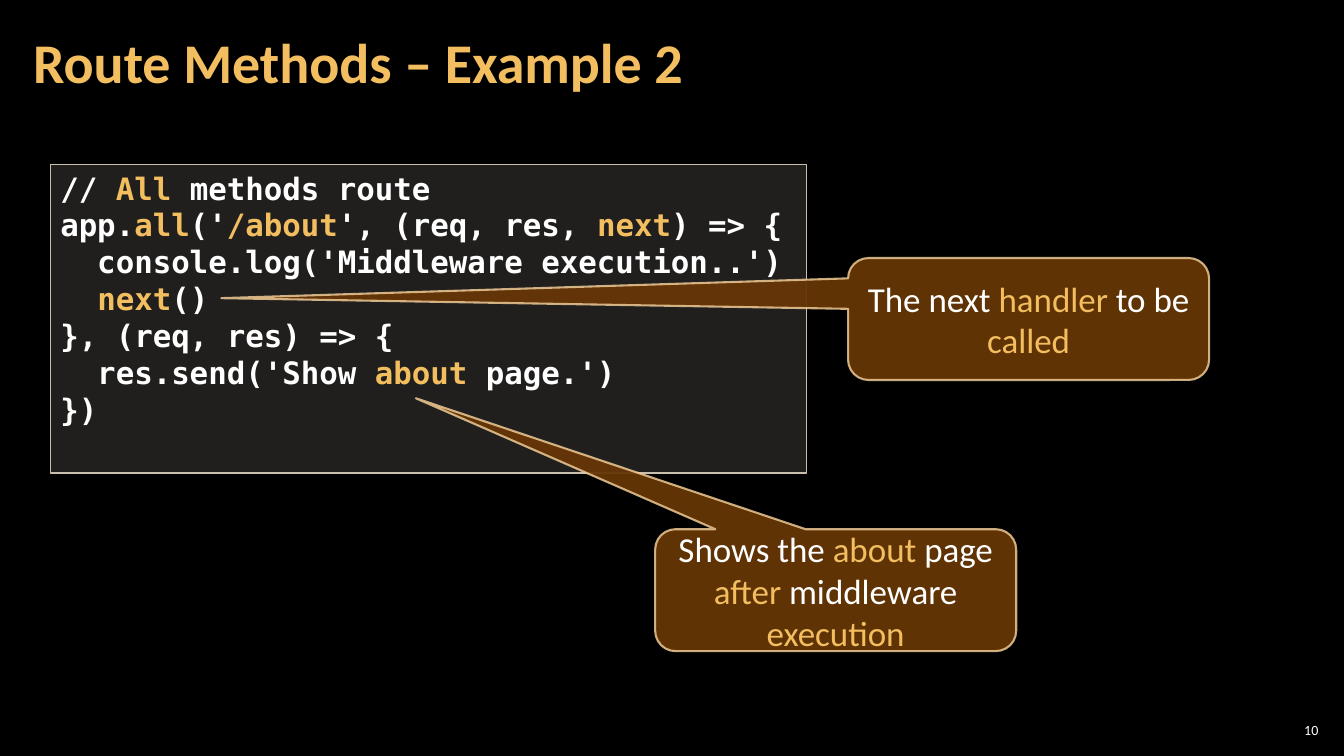
from dataclasses import dataclass, field

from lxml import etree
from pptx import Presentation
from pptx.dml.color import RGBColor
from pptx.enum.shapes import MSO_SHAPE
from pptx.enum.text import MSO_ANCHOR, PP_ALIGN
from pptx.oxml.ns import qn
from pptx.util import Pt

RECT = MSO_SHAPE.RECTANGLE
CALLOUT = MSO_SHAPE.ROUNDED_RECTANGULAR_CALLOUT
TOP, MIDDLE = MSO_ANCHOR.TOP, MSO_ANCHOR.MIDDLE
LEFT, CENTER, RIGHT = PP_ALIGN.LEFT, PP_ALIGN.CENTER, PP_ALIGN.RIGHT
BLACK, WHITE, ACCENT = "000000", "FFFFFF", "F3BE60"

# Text between asterisks takes the accent colour
CODE = [
    "// *All* methods route",
    "app.*all*('*/about*', (req, res, *next*) => {",
    "  console.log('Middleware execution..')",
    "  *next*()",
    "}, (req, res) => {",
    "  res.send('Show *about* page.')",
    "})",
]


@dataclass
class TextStyle:
    font: dict
    anchor: MSO_ANCHOR = MIDDLE
    para: dict = field(default_factory=dict)
    inset: tuple[float, float] = (7.2, 3.6)


@dataclass
class Panel:
    kind: MSO_SHAPE
    box: tuple[float, float, float, float]
    lines: list[str]
    style: TextStyle
    fill: tuple[str, int]
    line: tuple[str, int, float]
    adjustments: tuple[float, ...] = ()


TITLE = TextStyle({"name": "Calibri", "size": Pt(40), "bold": True},
                  para={"alignment": LEFT, "line_spacing": 0.9}, inset=(8.64, 3.6))
NUMBER = TextStyle({"name": "Calibri", "size": Pt(10)},
                   para={"alignment": RIGHT}, inset=(2.88, 2.88))
LISTING = TextStyle({"name": "DejaVu Sans Mono", "size": Pt(22), "bold": True},
                    TOP, {"alignment": LEFT, "line_spacing": Pt(26.4)})
NOTE = TextStyle({"name": "Calibri", "size": Pt(25)}, para={"alignment": CENTER})

NOTE_FILL, NOTE_LINE = ("663606", 95), ("F8D49E", 80, 1.5)
PANELS = [
    Panel(RECT, (36, 117.36, 540, 220.6), CODE, LISTING,
          ("D9D5C7", 15), ("C7BFAC", 100, 1)),
    Panel(CALLOUT, (468, 378, 257.9, 87.1),
          ["Shows the *about* page *after* middleware *execution*"],
          NOTE, NOTE_FILL, NOTE_LINE, (-1.163, -1.574, 0.167)),
    Panel(CALLOUT, (605.8, 184.3, 257.9, 87.1),
          ["The next *handler* to be *called*"],
          NOTE, NOTE_FILL, NOTE_LINE, (-2.236, -0.171, 0.167)),
]


def set_color(fill, color: str, alpha: int = 100) -> None:
    fill.solid()
    fill.fore_color.rgb = RGBColor.from_string(color)
    if alpha < 100:
        clr = fill._xPr.find(qn("a:solidFill"))[0]
        etree.SubElement(clr, qn("a:alpha")).set("val", str(alpha * 1000))


def write(tf, lines: list[str], style: TextStyle) -> None:
    across, down = map(Pt, style.inset)
    frame = {"word_wrap": True, "vertical_anchor": style.anchor,
             "margin_left": across, "margin_right": across,
             "margin_top": down, "margin_bottom": down}
    for name, value in frame.items():
        setattr(tf, name, value)
    for i, line in enumerate(lines):
        p = tf.add_paragraph() if i else tf.paragraphs[0]
        for name, value in style.para.items():
            setattr(p, name, value)
        for j, part in enumerate(line.split("*")):
            if not part:
                continue
            r = p.add_run()
            r.text = part
            for name, value in style.font.items():
                setattr(r.font, name, value)
            set_color(r.font.fill, ACCENT if j % 2 else WHITE)


def add_text(s, box: tuple, text: str, style: TextStyle) -> None:
    sp = s.shapes.add_textbox(*map(Pt, box))
    write(sp.text_frame, [text], style)


def add_panel(s, panel: Panel) -> None:
    sp = s.shapes.add_shape(panel.kind, *map(Pt, panel.box))
    sp.shadow.inherit = False
    for i, value in enumerate(panel.adjustments):
        sp.adjustments[i] = value
    set_color(sp.fill, *panel.fill)
    color, alpha, width = panel.line
    sp.line.width = Pt(width)
    set_color(sp.line.fill, color, alpha)
    write(sp.text_frame, panel.lines, panel.style)


def main() -> None:
    prs = Presentation()
    prs.slide_width, prs.slide_height = Pt(960), Pt(540)
    s = prs.slides.add_slide(prs.slide_layouts[6])
    set_color(s.background.fill, BLACK)

    # Slide number and title
    add_text(s, (910.8, 514.1, 33.8, 15.1), "10", NUMBER)
    add_text(s, (15.1, 2.9, 753.8, 87.1), "*Route Methods – Example 2*", TITLE)

    # Code listing and its callouts
    for panel in PANELS:
        add_panel(s, panel)

    prs.save("out.pptx")


if __name__ == "__main__":
    main()
